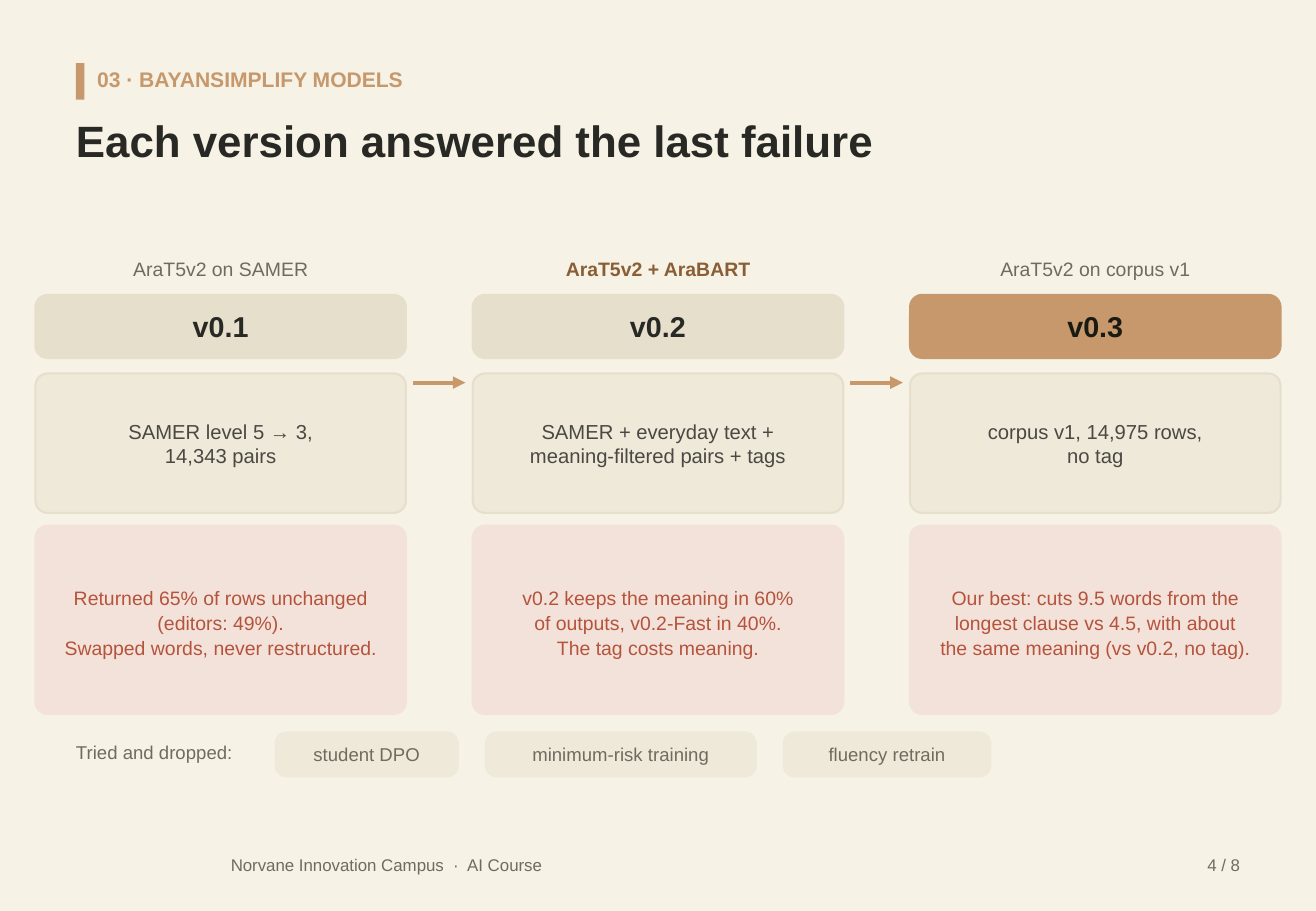
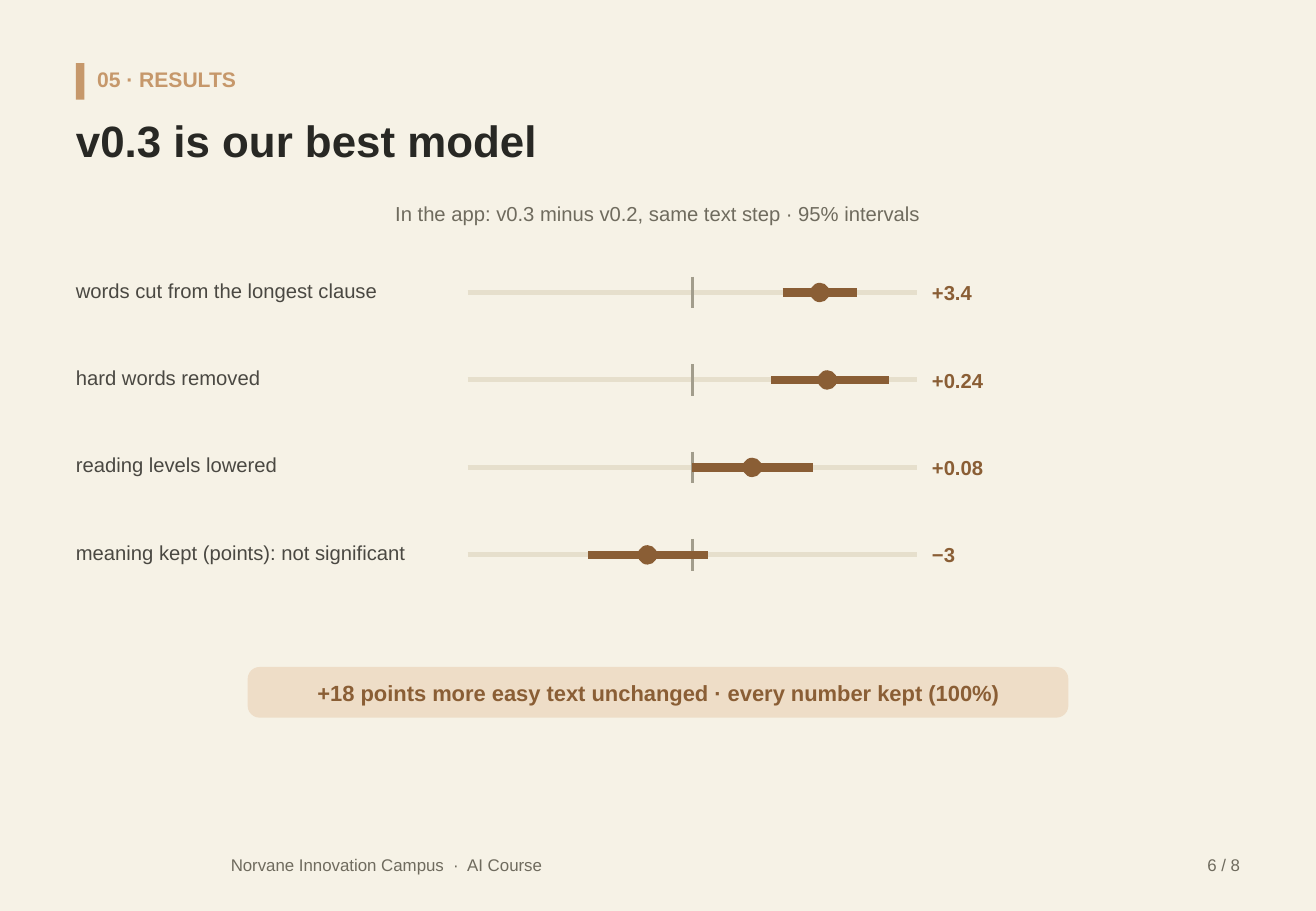
from lxml import etree
from pptx import Presentation
from pptx.dml.color import RGBColor
from pptx.enum.shapes import MSO_CONNECTOR, MSO_SHAPE
from pptx.enum.text import MSO_ANCHOR, MSO_AUTO_SIZE, PP_ALIGN
from pptx.oxml.ns import qn
from pptx.util import Pt

LEFT, CENTER, RIGHT = PP_ALIGN.LEFT, PP_ALIGN.CENTER, PP_ALIGN.RIGHT
MIDDLE, NO_AUTOFIT = MSO_ANCHOR.MIDDLE, MSO_AUTO_SIZE.NONE
STRAIGHT = MSO_CONNECTOR.STRAIGHT
RECT, ROUNDED, OVAL = MSO_SHAPE.RECTANGLE, MSO_SHAPE.ROUNDED_RECTANGLE, MSO_SHAPE.OVAL

PAGE_W, PAGE_H = 780, 540
MARGIN, CONTENT_W = 45, 690
FONT = "Arial"
PAPER, SAND, CREAM, BLUSH, PEACH = "F6F2E6", "E6DFCC", "EFE9D9", "F3E2DA", "EEDDC7"
TAN, BROWN, RUST = "C6986B", "8A5E35", "B5533C"
INK, BLACK, BODY, MUTED, ZERO = "282824", "1A1A14", "4A4842", "6F6B5E", "A29D8C"
FOOTER = "Norvane Innovation Campus  ·  AI Course"

VERSION_W, VERSION_GAP = 219.6, 39.6
VERSIONS = [
    ("AraT5v2 on SAMER", "v0.1", "SAMER level 5 → 3,\n14,343 pairs",
     "Returned 65% of rows unchanged\n(editors: 49%).\nSwapped words, never restructured."),
    ("AraT5v2 + AraBART", "v0.2", "SAMER + everyday text +\nmeaning-filtered pairs + tags",
     "v0.2 keeps the meaning in 60%\nof outputs, v0.2-Fast in 40%.\nThe tag costs meaning."),
    ("AraT5v2 on corpus v1", "v0.3", "corpus v1, 14,975 rows,\nno tag",
     "Our best: cuts 9.5 words from the\nlongest clause vs 4.5, with about\n"
     "the same meaning (vs v0.2, no tag)."),
]
EMPHASISED, BEST = "AraT5v2 + AraBART", "v0.3"
DROPPED = [("student DPO", 108), ("minimum-risk training", 160), ("fluency retrain", 122.4)]

AXIS_CENTER, AXIS_HALF = 410.4, 133.2
INTERVALS = [
    ("words cut from the longest clause", "+3.4", 53.5, 75.6, 97.5),
    ("hard words removed", "+0.24", 46.5, 80, 116.5),
    ("reading levels lowered", "+0.08", 0, 35.5, 71.5),
    ("meaning kept (points): not significant", "−3", -62, -26.6, 9),
]


def rgb(value):
    """Turn a hex string into a colour."""
    return RGBColor.from_string(value)


def write(frame, text, size, color, bold=False, align=LEFT, spacing=None, insets=(0, 0)):
    """Fill a frame with one formatted paragraph per line of text."""
    side, top = insets
    frame_format = {
        "word_wrap": True, "auto_size": NO_AUTOFIT, "vertical_anchor": MIDDLE,
        "margin_left": Pt(side), "margin_right": Pt(side),
        "margin_top": Pt(top), "margin_bottom": 0,
    }
    for name, value in frame_format.items():
        setattr(frame, name, value)
    font_format = {"name": FONT, "size": Pt(size), "bold": bold}
    for index, line in enumerate(text.split("\n")):
        paragraph = frame.add_paragraph() if index else frame.paragraphs[0]
        paragraph.alignment = align
        if spacing:
            paragraph.line_spacing = spacing
        run = paragraph.add_run()
        run.text = line
        for name, value in font_format.items():
            setattr(run.font, name, value)
        run.font.color.rgb = rgb(color)


def add_label(slide, box, text, size, color, **style):
    """Add a text box without insets."""
    label = slide.shapes.add_textbox(*map(Pt, box))
    write(label.text_frame, text, size, color, **style)


def add_block(slide, kind, box, fill):
    """Add a flat preset shape without an outline."""
    block = slide.shapes.add_shape(kind, *map(Pt, box))
    block.shadow.inherit = False
    block.fill.solid()
    block.fill.fore_color.rgb = rgb(fill)
    block.line.fill.background()
    return block


def add_card(slide, box, fill, text, size, color, outline=None, radius=7.2, top=0, **style):
    """Add a rounded card with centred text."""
    card = add_block(slide, ROUNDED, box, fill)
    card.adjustments[0] = radius / min(box[2:])
    card.line.color.rgb = rgb(outline or fill)
    card.line.width = Pt(1.25)
    write(card.text_frame, text, size, color, align=CENTER, insets=(8.6, top), **style)


def add_line(slide, start, end, color, width, arrow=False):
    """Add a straight line, with an arrowhead at its end if asked."""
    line = slide.shapes.add_connector(STRAIGHT, *map(Pt, start + end))
    line.line.color.rgb = rgb(color)
    line.line.width = Pt(width)
    properties = line.element.spPr
    if arrow:
        etree.SubElement(properties.find(qn("a:ln")), qn("a:tailEnd"), type="triangle")
    etree.SubElement(properties, qn("a:effectLst"))


def add_page(deck, section, title, number):
    """Add a slide with the section mark, title and footer."""
    slide = deck.slides.add_slide(deck.slide_layouts[5])
    add_block(slide, RECT, (MARGIN, 37.5, 5, 21.6), TAN)
    add_label(slide, (57.6, 34.6, 676, 24.5), section, 12.5, TAN, bold=True)
    heading = slide.shapes.title
    heading.left, heading.top = Pt(MARGIN), Pt(63.4)
    heading.width, heading.height = Pt(CONTENT_W), Pt(39.6)
    write(heading.text_frame, title, 26, INK, bold=True)
    add_label(slide, (136.8, 502.6, 302.4, 20), FOOTER, 10, MUTED)
    add_label(slide, (663, 502.6, 72, 20), f"{number} / 8", 10, MUTED, align=RIGHT)
    return slide


def add_version(slide, left, model, version, data, finding):
    """Add one version column: model, name, training data and finding."""
    emphasised, best = model == EMPHASISED, version == BEST
    add_label(slide, (left, 147.6, VERSION_W, 23), model, 11.5,
              BROWN if emphasised else MUTED, bold=emphasised, align=CENTER)
    add_card(slide, (left, 174.8, VERSION_W, 37.4), TAN if best else SAND,
             version, 17, BLACK if best else INK, bold=True)
    add_card(slide, (left, 221.4, VERSION_W, 82.6), CREAM, data, 12, BODY, outline=SAND)
    add_card(slide, (left, 311.6, VERSION_W, 111.6), BLUSH, finding, 11.5, RUST,
             top=2, spacing=1.08)


def add_interval(slide, y, measure, value, low, middle, high):
    """Add one measure with its interval around the zero mark."""
    add_label(slide, (MARGIN, y - 11.5, 280, 20), measure, 12, BODY)
    add_line(slide, (AXIS_CENTER - AXIS_HALF, y), (AXIS_CENTER + AXIS_HALF, y), SAND, 3)
    add_line(slide, (AXIS_CENTER, y - 9.4), (AXIS_CENTER, y + 9.4), ZERO, 1.5)
    add_line(slide, (AXIS_CENTER + low, y), (AXIS_CENTER + high, y), BROWN, 5)
    add_block(slide, OVAL, (AXIS_CENTER + middle - 5.75, y - 5.75, 11.5, 11.5), BROWN)
    add_label(slide, (552.4, y - 10, 79, 20), value, 12, BROWN, bold=True)


def build_versions(deck):
    """Build the slide that compares the three versions."""
    slide = add_page(deck, "03 · BAYANSIMPLIFY MODELS",
                     "Each version answered the last failure", 4)
    step = VERSION_W + VERSION_GAP
    first = (PAGE_W - VERSION_W - 2 * step) / 2
    for index, version in enumerate(VERSIONS):
        left = first + index * step
        add_version(slide, left, *version)
        if index:
            add_line(slide, (left - VERSION_GAP + 4.3, 226.8), (left - 4.3, 226.8),
                     TAN, 2.5, arrow=True)
    add_label(slide, (MARGIN, 435.8, 115, 20), "Tried and dropped:", 11, MUTED)
    left = 163.4
    for attempt, width in DROPPED:
        add_card(slide, (left, 434.2, width, 26), CREAM, attempt, 11, MUTED, radius=6.5)
        left += width + 16.6


def build_results(deck):
    """Build the slide with the measured differences."""
    slide = add_page(deck, "05 · RESULTS", "v0.3 is our best model", 6)
    add_label(slide, (MARGIN, 116.8, CONTENT_W, 20),
              "In the app: v0.3 minus v0.2, same text step · 95% intervals",
              12, MUTED, align=CENTER)
    for index, interval in enumerate(INTERVALS):
        add_interval(slide, 173.4 + index * 51.84, *interval)
    add_card(slide, (147.4, 396, 485.2, 28.8), PEACH,
             "+18 points more easy text unchanged · every number kept (100%)",
             13, BROWN, bold=True, radius=6.5)


def main():
    """Build and save the deck."""
    deck = Presentation()
    deck.slide_width, deck.slide_height = Pt(PAGE_W), Pt(PAGE_H)
    backdrop = deck.slide_master.background.fill
    backdrop.solid()
    backdrop.fore_color.rgb = rgb(PAPER)
    build_versions(deck)
    build_results(deck)
    deck.save("out.pptx")


if __name__ == "__main__":
    main()
